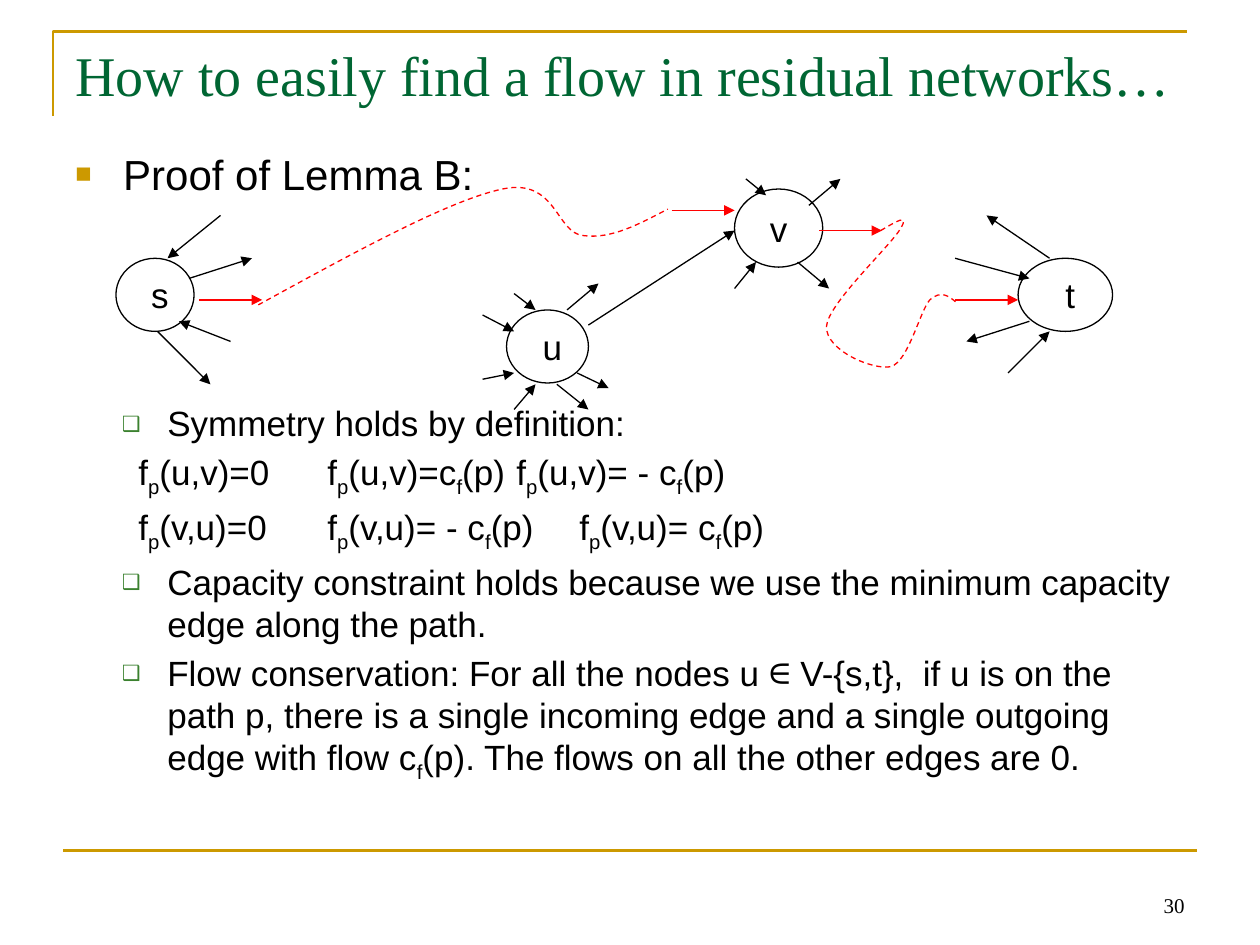
from dataclasses import dataclass

from lxml import etree
from pptx import Presentation
from pptx.dml.color import RGBColor
from pptx.enum.dml import MSO_LINE
from pptx.enum.shapes import MSO_CONNECTOR, MSO_SHAPE
from pptx.enum.text import MSO_ANCHOR, PP_ALIGN
from pptx.oxml.ns import qn
from pptx.util import Inches, Pt

STRAIGHT = MSO_CONNECTOR.STRAIGHT
OVAL = MSO_SHAPE.OVAL
DASH = MSO_LINE.DASH
TOP, MIDDLE, BOTTOM = MSO_ANCHOR.TOP, MSO_ANCHOR.MIDDLE, MSO_ANCHOR.BOTTOM
LEFT, CENTER, RIGHT = PP_ALIGN.LEFT, PP_ALIGN.CENTER, PP_ALIGN.RIGHT

BLACK = RGBColor(0x00, 0x00, 0x00)
GOLD = RGBColor(0xCC, 0x99, 0x00)
TITLE_GREEN = RGBColor(0x00, 0x66, 0x33)
BULLET_GREEN = RGBColor(0x3B, 0x81, 0x2F)
RED = RGBColor(0xFF, 0x01, 0x01)
SERIF, SANS, SYMBOL = "Times New Roman", "Arial", "Noto Sans Mono"


@dataclass(frozen=True)
class Bullet:
    char: str
    color: RGBColor
    percent: int


@dataclass(frozen=True)
class Item:
    text: str
    size: int = 20
    before: float = 4
    margin: float = 0.73
    hanging: float = 0.36
    bullet: Bullet | None = None
    tabs: tuple[float, ...] = ()


@dataclass(frozen=True)
class Node:
    label: str
    left: float
    top: float
    width: float
    height: float
    label_inset: float = 0.08


@dataclass(frozen=True)
class Edge:
    x1: float
    y1: float
    x2: float
    y2: float


SQUARE = Bullet("■", GOLD, 65)
BOX = Bullet("❑", BULLET_GREEN, 60)
FLOW_TABS = (1.73, 3.73, 6.73)

# Bars enclose subscripts and the membership sign
ITEMS = [
    Item("Proof of Lemma B:", size=24, before=5, margin=0.38, hanging=0.38, bullet=SQUARE),
    Item("Symmetry holds by definition:", before=116, bullet=BOX),
    Item("\tf|p|(u,v)=0\tf|p|(u,v)=c|f|(p)\tf|p|(u,v)= - c|f|(p)",
         margin=0, hanging=0, tabs=FLOW_TABS),
    Item("\tf|p|(v,u)=0\tf|p|(v,u)= - c|f|(p)\tf|p|(v,u)= c|f|(p)",
         margin=0, hanging=0, tabs=FLOW_TABS),
    Item("Capacity constraint holds because we use the minimum capacity "
         "edge along the path.", bullet=BOX),
    Item("Flow conservation: For all the nodes u |∈| V-{s,t},  if u is on the "
         "path p, there is a single incoming edge and a single outgoing edge "
         "with flow c|f|(p). The flows on all the other edges are 0.", bullet=BOX),
]

NODES = [
    Node("s", 0.92, 2.05, 0.62, 0.58),
    Node("t", 8.08, 2.05, 0.75, 0.58),
    Node("u", 4.02, 2.46, 0.65, 0.58),
    Node("v", 5.83, 1.5, 0.7, 0.62, label_inset=0),
]

EDGES = [
    # around s
    Edge(1.5, 2.21, 2, 2.05), Edge(1.75, 1.71, 1.33, 2.05),
    Edge(1.83, 2.71, 1.42, 2.55), Edge(1.25, 2.63, 1.67, 3.05),
    # from u to v
    Edge(4.67, 2.58, 5.83, 1.83),
    # around u
    Edge(4.5, 2.46, 4.75, 2.25), Edge(4.58, 2.96, 4.83, 3.08),
    Edge(4.42, 3.05, 4.67, 3.25), Edge(3.83, 2.5, 4.08, 2.63),
    Edge(4.08, 2.33, 4.25, 2.46), Edge(3.83, 3.01, 4.08, 2.96),
    Edge(4.08, 3.25, 4.25, 3.05),
    # around t
    Edge(7.58, 2.05, 8.17, 2.21), Edge(8.33, 2.05, 7.83, 1.71),
    Edge(8.17, 2.55, 7.67, 2.71), Edge(8, 2.96, 8.33, 2.63),
    # around v
    Edge(6.42, 1.63, 6.67, 1.42), Edge(6.33, 2.08, 6.58, 2.29),
    Edge(5.92, 1.42, 6.08, 1.55), Edge(5.83, 2.29, 6, 2.08),
]

PATH_EDGES = [
    Edge(1.58, 2.38, 2.08, 2.38), Edge(5.33, 1.67, 5.83, 1.67),
    Edge(6.5, 1.83, 7, 1.83), Edge(7.58, 2.38, 8.08, 2.38),
]

# Start point, then two control points and an end point per segment
PATH_CURVES = [
    [(2.05, 2.42), (2.8, 2.01), (3.56, 1.59), (3.99, 1.5), (4.42, 1.41),
     (4.41, 1.85), (4.63, 1.87), (4.85, 1.9), (5.07, 1.78), (5.3, 1.66)],
    [(6.99, 1.83), (7.11, 1.76), (7.22, 1.69), (7.15, 1.81), (7.08, 1.94),
     (6.57, 2.41), (6.56, 2.59), (6.55, 2.78), (6.93, 2.94), (7.07, 2.91),
     (7.21, 2.87), (7.3, 2.47), (7.38, 2.38), (7.47, 2.3), (7.53, 2.35), (7.59, 2.4)],
]


def write(paragraph, text: str, *, size: float, font: str = SANS,
          color: RGBColor = BLACK, align=LEFT) -> None:
    paragraph.alignment = align
    for index, part in enumerate(text.split("|")):
        run = paragraph.add_run()
        run.text = part
        run.font.size = Pt(size)
        run.font.name = SYMBOL if part == "∈" else font
        run.font.color.rgb = color
        if index % 2 and part != "∈":
            run.font._element.set("baseline", "-25000")


def add_frame(slide, left: float, top: float, width: float, height: float, anchor=TOP):
    box = slide.shapes.add_textbox(Inches(left), Inches(top), Inches(width), Inches(height))
    frame = box.text_frame
    frame.word_wrap = True
    frame.vertical_anchor = anchor
    return frame


def format_item(paragraph, item: Item) -> None:
    paragraph.space_before = Pt(item.before)
    props = paragraph._p.get_or_add_pPr()
    props.set("marL", str(Inches(item.margin)))
    props.set("indent", str(-Inches(item.hanging)))
    if item.bullet:
        color = etree.SubElement(props, qn("a:buClr"))
        etree.SubElement(color, qn("a:srgbClr"), val=str(item.bullet.color))
        etree.SubElement(props, qn("a:buSzPct"), val=str(item.bullet.percent * 1000))
        etree.SubElement(props, qn("a:buFont"), typeface=SYMBOL)
        etree.SubElement(props, qn("a:buChar"), char=item.bullet.char)
    else:
        etree.SubElement(props, qn("a:buNone"))
    if item.tabs:
        stops = etree.SubElement(props, qn("a:tabLst"))
        for stop in item.tabs:
            etree.SubElement(stops, qn("a:tab"), pos=str(Inches(stop)), algn="l")


def add_line(slide, edge: Edge, color: RGBColor, width: float = 0.75, arrow: bool = True) -> None:
    line = slide.shapes.add_connector(STRAIGHT, Inches(edge.x1), Inches(edge.y1),
                                      Inches(edge.x2), Inches(edge.y2))
    line.line.color.rgb = color
    line.line.width = Pt(width)
    if arrow:
        etree.SubElement(line.line._get_or_add_ln(), qn("a:tailEnd"), type="triangle")
    etree.SubElement(line._element.spPr, qn("a:effectLst"))


def add_outline(slide, points: list[tuple[float, float]], color: RGBColor, width: float):
    start, *rest = [(Inches(x), Inches(y)) for x, y in points]
    builder = slide.shapes.build_freeform(*start)
    builder.add_line_segments(rest, close=False)
    outline = builder.convert_to_shape()
    outline.shadow.inherit = False
    outline.fill.background()
    outline.line.color.rgb = color
    outline.line.width = Pt(width)
    return outline


def add_curve(slide, points: list[tuple[float, float]]) -> None:
    curve = add_outline(slide, points, RED, 0.75)
    curve.line.dash_style = DASH
    # Join each three straight segments into one Bezier segment
    segments = list(curve._element.iter(qn("a:lnTo")))
    for start in range(0, len(segments), 3):
        bezier = etree.Element(qn("a:cubicBezTo"))
        segments[start].addprevious(bezier)
        for segment in segments[start:start + 3]:
            bezier.append(segment[0])
            segment.getparent().remove(segment)


def add_node(slide, node: Node) -> None:
    oval = slide.shapes.add_shape(OVAL, Inches(node.left), Inches(node.top),
                                  Inches(node.width), Inches(node.height))
    oval.shadow.inherit = False
    oval.fill.background()
    oval.line.color.rgb = BLACK
    oval.line.width = Pt(0.75)
    frame = oval.text_frame
    frame.word_wrap = False
    frame.vertical_anchor = MIDDLE
    frame.margin_left = Inches(node.label_inset)
    frame.margin_right = 0
    write(frame.paragraphs[0], node.label, size=20, align=CENTER)


def main() -> None:
    deck = Presentation()
    deck.slide_width, deck.slide_height = Inches(10), Inches(7.5)
    slide = deck.slides.add_slide(deck.slide_layouts[6])

    # Frame lines and page number
    add_outline(slide, [(0.42, 0.92), (0.42, 0.25), (9.42, 0.25)], GOLD, 1.5)
    add_line(slide, Edge(0.5, 6.75, 9.5, 6.75), GOLD, width=1.5, arrow=False)
    page = add_frame(slide, 7.17, 6.83, 2.33, 0.5, anchor=BOTTOM)
    write(page.paragraphs[0], "30", size=12, font=SERIF, align=RIGHT)

    # Title and proof
    title = add_frame(slide, 0.5, 0.27, 9, 1.25)
    write(title.paragraphs[0], "How to easily find a flow in residual networks…",
          size=32, font=SERIF, color=TITLE_GREEN)
    proof = add_frame(slide, 0.5, 1.13, 9, 4.95)
    for index, item in enumerate(ITEMS):
        paragraph = proof.add_paragraph() if index else proof.paragraphs[0]
        write(paragraph, item.text, size=item.size)
        format_item(paragraph, item)

    # Residual network with the augmenting path in red
    for node in NODES:
        add_node(slide, node)
    for edge in EDGES:
        add_line(slide, edge, BLACK)
    for edge in PATH_EDGES:
        add_line(slide, edge, RED)
    for curve in PATH_CURVES:
        add_curve(slide, curve)

    deck.save("out.pptx")


if __name__ == "__main__":
    main()
